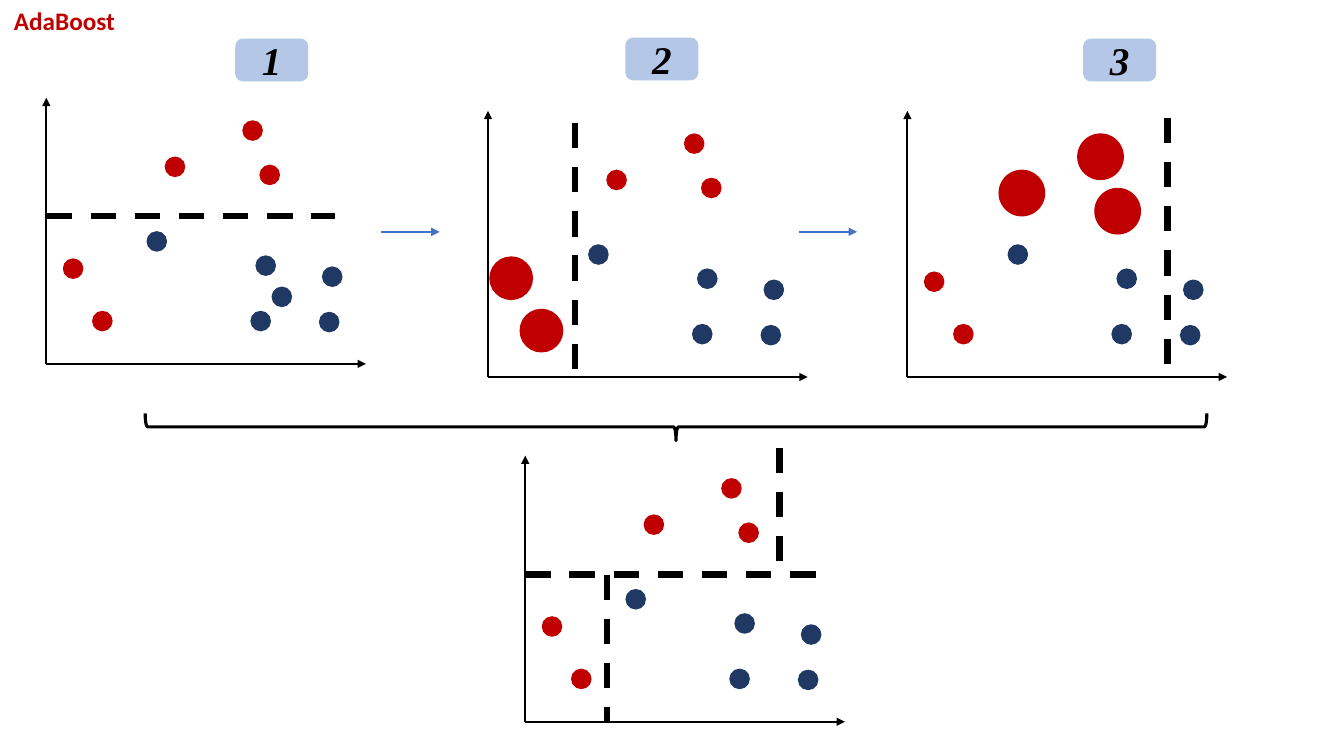
from lxml.etree import SubElement
from pptx import Presentation
from pptx.dml.color import RGBColor
from pptx.enum.dml import MSO_LINE_DASH_STYLE as Dash
from pptx.enum.shapes import MSO_CONNECTOR as Connector, MSO_SHAPE as Shape
from pptx.enum.text import MSO_ANCHOR as Anchor, MSO_AUTO_SIZE as AutoSize, PP_ALIGN as Align
from pptx.oxml.ns import qn
from pptx.util import Inches, Pt

RED, NAVY, BLACK, ARROW_BLUE, BADGE_BLUE = "C00000", "203864", "000000", "4472C4", "B4C7E7"
PLOT_WIDTH, PLOT_HEIGHT, DOT = 3.17, 2.64, 0.19

BLUE_DOTS = [(2.03, 2.12), (2.71, 2.13), (1, 1.33), (2.08, 1.57), (2.74, 1.68)]
UPPER_REDS = [(1.18, 0.59), (2.12, 0.67), (1.95, 0.23)]
LOWER_REDS = [(0.46, 2.12), (0.17, 1.6)]


def color(hex_code):
    """Turn a hex string into a colour."""
    return RGBColor.from_string(hex_code)


def add_line(shapes, start, end, hex_code, weight, arrow=False, dashed=False):
    """Draw a straight line, optionally dashed or ending in an arrowhead."""
    line = shapes.add_connector(Connector.STRAIGHT, *map(Inches, (*start, *end)))
    line.line.color.rgb = color(hex_code)
    line.line.width = Pt(weight)
    if dashed:
        line.line.dash_style = Dash.DASH
    if arrow:
        SubElement(line.line._get_or_add_ln(), qn("a:tailEnd"), type="triangle")
    SubElement(line._element.spPr, qn("a:effectLst"))


def add_filled(shapes, preset, left, top, width, height, hex_code):
    """Draw a preset shape with one colour for fill and outline."""
    filled = shapes.add_shape(preset, *map(Inches, (left, top, width, height)))
    filled.shadow.inherit = False
    filled.fill.solid()
    filled.fill.fore_color.rgb = color(hex_code)
    filled.line.color.rgb = color(hex_code)
    filled.line.width = Pt(1)
    return filled


def write(frame, text, font_name, size, hex_code, italic=False):
    """Put one bold line of text in a frame."""
    frame.text = text
    font = frame.paragraphs[0].runs[0].font
    font.name, font.size, font.bold, font.italic = font_name, Pt(size), True, italic
    font.color.rgb = color(hex_code)


def add_plot(slide, left, top, dot_sets, splits):
    """Draw axes, dots and dashed splits within a plot box."""
    plot = slide.shapes.add_group_shape().shapes
    origin = (left, top + PLOT_HEIGHT)
    for axis_end in [(left, top), (left + PLOT_WIDTH, origin[1])]:
        add_line(plot, origin, axis_end, BLACK, 1.5, arrow=True)
    for dots, size, hex_code in dot_sets:
        for x, y in dots:
            add_filled(plot, Shape.OVAL, left + x, top + y, size, size, hex_code)
    for x1, y1, x2, y2 in splits:
        add_line(plot, (left + x1, top + y1), (left + x2, top + y2), BLACK, 4.5, dashed=True)


def add_badge(slide, left, top, number):
    """Draw a numbered step badge."""
    badge = add_filled(slide.shapes, Shape.ROUNDED_RECTANGLE, left, top, 0.71, 0.41, BADGE_BLUE)
    write(badge.text_frame, number, "Times New Roman", 28, BLACK, italic=True)
    badge.text_frame.vertical_anchor = Anchor.MIDDLE
    badge.text_frame.paragraphs[0].alignment = Align.CENTER


def add_brace(slide, left, top, width, height):
    """Draw a brace lying across the box with its tip pointing down."""
    middle_x, middle_y = left + width / 2, top + height / 2
    brace = slide.shapes.add_shape(
        Shape.LEFT_BRACE, Inches(middle_x - height / 2), Inches(middle_y - width / 2),
        Inches(height), Inches(width))
    brace.rotation = 270
    brace.shadow.inherit = False
    brace.fill.background()
    brace.line.color.rgb = color(BLACK)
    brace.line.width = Pt(2.25)


def add_title(slide, left, top, width, height):
    """Write the slide title."""
    title = slide.shapes.add_textbox(*map(Inches, (left, top, width, height)))
    write(title.text_frame, "AdaBoost", "Calibri", 18, RED)
    title.text_frame.word_wrap = False
    title.text_frame.auto_size = AutoSize.SHAPE_TO_FIT_TEXT


def build_adaboost_slide(slide):
    """Lay out three boosting rounds and their combined classifier."""
    blues = (BLUE_DOTS, DOT, NAVY)
    uppers = (UPPER_REDS, DOT, RED)
    lowers = (LOWER_REDS, DOT, RED)
    heavy_lowers = ([(0.32, 1.97), (0.02, 1.45)], 0.42, RED)
    heavy_uppers = ([(0.91, 0.59), (1.86, 0.77), (1.69, 0.23)], 0.45, RED)
    extra_blue = ([(2.24, 1.88)], DOT, NAVY)

    add_plot(slide, 0.46, 0.97, [blues, extra_blue, uppers, lowers], [(0, 1.17, 2.86, 1.17)])
    add_plot(slide, 4.84, 1.1, [blues, uppers, heavy_lowers], [(0.86, 0.12, 0.86, 2.64)])
    add_plot(slide, 9, 1.1, [blues, heavy_uppers, lowers], [(2.58, 0.07, 2.58, 2.59)])
    add_plot(slide, 5.21, 4.52, [blues, uppers, lowers],
             [(0, 1.18, 3, 1.18), (0.81, 1.18, 0.81, 2.64), (2.52, -0.08, 2.52, 1.18)])

    for number, (left, top) in enumerate([(2.34, 0.39), (6.21, 0.38), (10.75, 0.39)], 1):
        add_badge(slide, left, top, str(number))
    for left in (3.78, 7.92):
        add_line(slide.shapes, (left, 2.3), (left + 0.58, 2.3), ARROW_BLUE, 1, arrow=True)
    add_brace(slide, 1.44, 4.1, 10.53, 0.27)
    add_title(slide, 0.04, 0, 1.21, 0.4)


def main():
    """Create and save the presentation."""
    deck = Presentation()
    deck.slide_width, deck.slide_height = Inches(13.33), Inches(7.5)
    build_adaboost_slide(deck.slides.add_slide(deck.slide_layouts[6]))
    deck.save("out.pptx")


if __name__ == "__main__":
    main()
